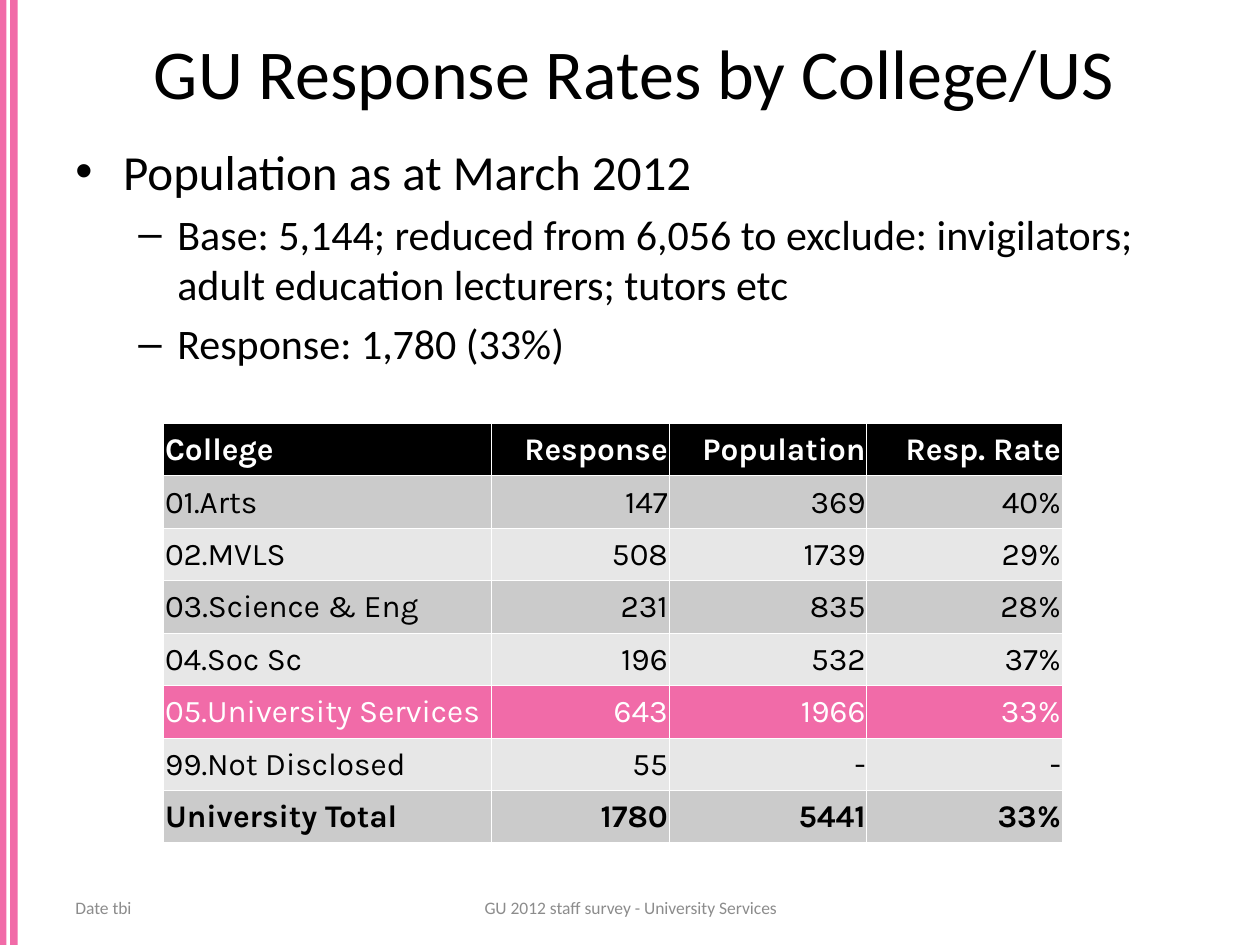
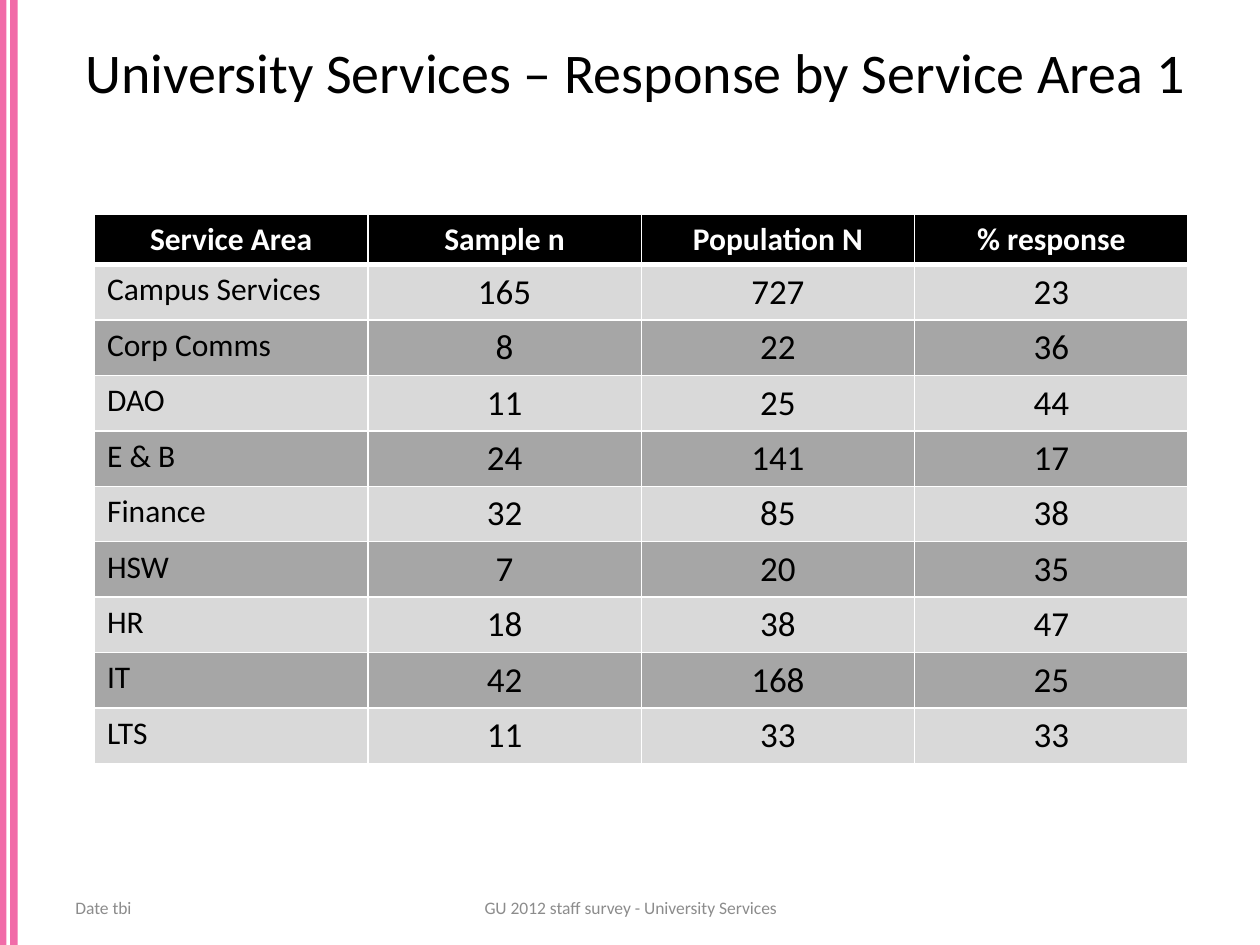
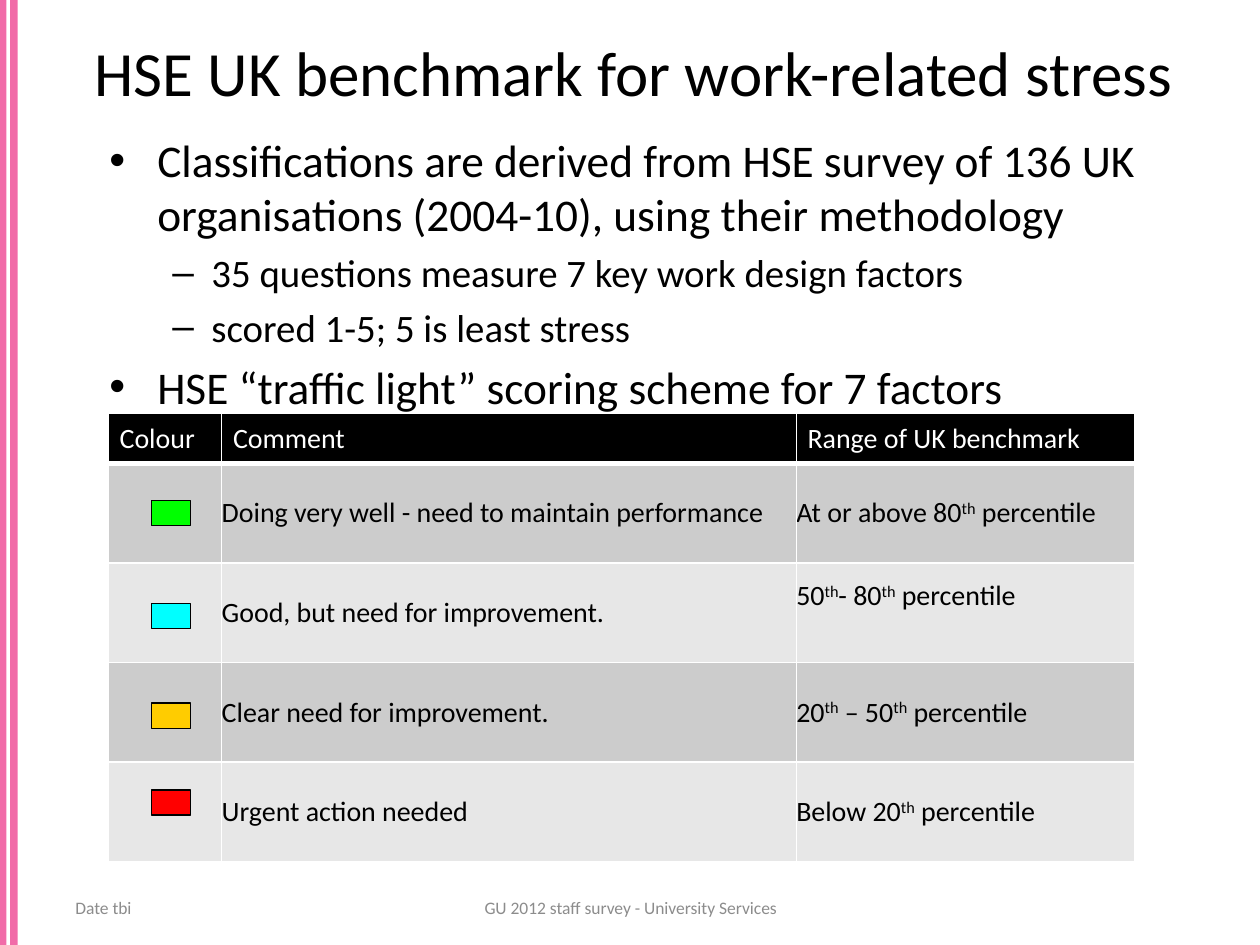
from lxml import etree
from pptx import Presentation
from pptx.dml.color import RGBColor
from pptx.enum import shapes, text
from pptx.oxml import ns
from pptx.util import Inches, Pt

BLACK = RGBColor(0x00, 0x00, 0x00)
WHITE = RGBColor(0xFF, 0xFF, 0xFF)
PINK = RGBColor(0xF1, 0x6B, 0xA8)
FOOTER_GREY = RGBColor(0x8C, 0x8C, 0x8C)
PALE_GREY = RGBColor(0xE7, 0xE7, 0xE7)
LIGHT_GREY = RGBColor(0xD9, 0xD9, 0xD9)
SOFT_GREY = RGBColor(0xCC, 0xCC, 0xCC)
COLLEGE_GREY = RGBColor(0xCB, 0xCB, 0xCB)
DARK_GREY = RGBColor(0xA6, 0xA6, 0xA6)
GREEN = RGBColor(0x00, 0xFF, 0x00)
CYAN = RGBColor(0x00, 0xFF, 0xFF)
AMBER = RGBColor(0xFF, 0xCC, 0x00)
RED = RGBColor(0xFF, 0x00, 0x00)

LEFT, CENTER, RIGHT = text.PP_ALIGN.LEFT, text.PP_ALIGN.CENTER, text.PP_ALIGN.RIGHT
TOP, MIDDLE = text.MSO_ANCHOR.TOP, text.MSO_ANCHOR.MIDDLE
BULLETS = [("•", 0.38, -0.38), ("–", 0.81, -0.31)]


def write(paragraph, words, size=18, font="Calibri", color=BLACK, bold=False, align=LEFT):
    """Fill a paragraph; parts between ^ marks are superscript."""
    paragraph.alignment = align
    for index, part in enumerate(words.split("^")):
        if not part:
            continue
        run = paragraph.add_run()
        run.text = part
        run.font.size = Pt(size)
        run.font.name = font
        run.font.bold = bold
        run.font.color.rgb = color
        if index % 2:
            run.font._element.set("baseline", "30000")


def add_bullet(paragraph, level):
    character, margin, indent = BULLETS[level]
    properties = paragraph._p.get_or_add_pPr()
    properties.set("marL", str(Inches(margin)))
    properties.set("indent", str(Inches(indent)))
    etree.SubElement(properties, ns.qn("a:buFont")).set("typeface", "Arial")
    etree.SubElement(properties, ns.qn("a:buChar")).set("char", character)


def add_borders(cell, **widths):
    """Draw white edges, with widths in points keyed by L, R, T and B."""
    properties = cell._tc.get_or_add_tcPr()
    for edge, width in widths.items():
        line = etree.SubElement(properties, ns.qn(f"a:ln{edge}"), w=str(Pt(width)))
        fill = etree.SubElement(line, ns.qn("a:solidFill"))
        etree.SubElement(fill, ns.qn("a:srgbClr"), val=str(WHITE))


class SurveyDeck:
    """Holds the presentation, its shared style and the current slide."""

    def __init__(self):
        self.presentation = Presentation()
        self.presentation.slide_width = Inches(10)
        self.presentation.slide_height = Inches(7.5)
        self.slide = None

    def new_slide(self, title, size, left=0.5, width=9.06):
        self.slide = self.presentation.slides.add_slide(self.presentation.slide_layouts[6])
        for stripe_left, stripe_width in [(0, 0.05), (0.08, 0.06)]:
            self.rectangle(stripe_left, 0, stripe_width, 7.5, PINK)
        self.label(title, left, 0.13, width, 0.87, size=size, align=CENTER)
        footer = dict(size=10, color=FOOTER_GREY)
        self.label("Date tbi", 0.5, 7.06, 2.33, 0.29, **footer)
        self.label("GU 2012 staff survey - University Services",
                   3.42, 7.06, 3.17, 0.29, align=CENTER, **footer)

    def rectangle(self, left, top, width, height, fill, outlined=False):
        shape = self.slide.shapes.add_shape(
            shapes.MSO_SHAPE.RECTANGLE, Inches(left), Inches(top), Inches(width), Inches(height))
        shape.shadow.inherit = False
        shape.fill.solid()
        shape.fill.fore_color.rgb = fill
        if outlined:
            shape.line.color.rgb = BLACK
            shape.line.width = Pt(0.75)
        else:
            shape.line.fill.background()

    def text_frame(self, left, top, width, height, anchor):
        box = self.slide.shapes.add_textbox(
            Inches(left), Inches(top), Inches(width), Inches(height))
        box.text_frame.word_wrap = True
        box.text_frame.vertical_anchor = anchor
        return box.text_frame

    def label(self, words, left, top, width, height, **style):
        frame = self.text_frame(left, top, width, height, MIDDLE)
        write(frame.paragraphs[0], words, **style)

    def bullets(self, items, left, top, width, height, sizes):
        """Write (level, words) items, with one text size per level."""
        frame = self.text_frame(left, top, width, height, TOP)
        for index, (level, words) in enumerate(items):
            paragraph = frame.add_paragraph() if index else frame.paragraphs[0]
            add_bullet(paragraph, level)
            paragraph.space_before = Pt(0.2 * sizes[level] if index else 0)
            write(paragraph, words, size=sizes[level])

    def table(self, rows, left, top, widths, heights, cell_style, border=1, header_rule=3):
        """Add a table; cell_style(row, column) gives fill, anchor, insets and text format."""
        frame = self.slide.shapes.add_table(
            len(rows), len(widths), Inches(left), Inches(top),
            Inches(sum(widths)), Inches(sum(heights)))
        table = frame.table
        table.horz_banding = False
        for column, width in zip(table.columns, widths):
            column.width = Inches(width)
        for row, height in zip(table.rows, heights):
            row.height = Inches(height)
        for r, values in enumerate(rows):
            for c, value in enumerate(values):
                self.cell(table.cell(r, c), value, **cell_style(r, c),
                          borders=dict(L=border, R=border,
                                       T=header_rule if r == 1 else border,
                                       B=header_rule if r == 0 else border))

    def cell(self, cell, words, fill, borders, anchor=TOP, insets=(0.1, 0.05, 0.1, 0.05), **style):
        (cell.margin_left, cell.margin_top,
         cell.margin_right, cell.margin_bottom) = map(Inches, insets)
        cell.vertical_anchor = anchor
        add_borders(cell, **borders)
        cell.fill.solid()
        cell.fill.fore_color.rgb = fill
        write(cell.text_frame.paragraphs[0], words, **style)


def banded(row, odd, even):
    """Give the fill of a row: black header, then two alternating greys."""
    return BLACK if row == 0 else odd if row % 2 else even


def college_slide(deck):
    deck.new_slide("GU Response Rates by College/US", 40)
    deck.bullets([
        (0, "Population as at March 2012"),
        (1, "Base: 5,144; reduced from 6,056 to exclude: invigilators; "
            "adult education lecturers; tutors etc"),
        (1, "Response: 1,780 (33%)"),
    ], 0.5, 1.07, 9.06, 5.91, sizes=(28, 24))
    rows = [
        ("College", "Response", "Population", "Resp. Rate"),
        ("01.Arts", "147", "369", "40%"),
        ("02.MVLS", "508", "1739", "29%"),
        ("03.Science & Eng", "231", "835", "28%"),
        ("04.Soc Sc", "196", "532", "37%"),
        ("05.University Services", "643", "1966", "33%"),
        ("99.Not Disclosed", "55", "-", "-"),
        ("University Total", "1780", "5441", "33%"),
    ]
    highlight, total = 5, len(rows) - 1

    def style(row, column):
        return dict(
            fill=PINK if row == highlight else banded(row, COLLEGE_GREY, PALE_GREY),
            color=WHITE if row in (0, highlight) else BLACK,
            bold=row in (0, total), font="Karla", align=RIGHT if column else LEFT,
            anchor=MIDDLE, insets=(0.01, 0.01, 0.01, 0))

    deck.table(rows, 1.3, 3.36, [2.6, 1.41, 1.57, 1.55], [3.33 / len(rows)] * len(rows),
               style, border=0.5, header_rule=0.5)


def service_area_slide(deck):
    deck.new_slide("University Services – Response by Service Area 1", 32, left=0.2, width=9.69)
    rows = [
        ("Service Area", "Sample n", "Population N", "% response"),
        ("Campus Services", "165", "727", "23"),
        ("Corp Comms", "8", "22", "36"),
        ("DAO", "11", "25", "44"),
        ("E & B", "24", "141", "17"),
        ("Finance", "32", "85", "38"),
        ("HSW", "7", "20", "35"),
        ("HR", "18", "38", "47"),
        ("IT", "42", "168", "25"),
        ("LTS", "11", "33", "33"),
    ]

    def style(row, column):
        header = row == 0
        return dict(
            fill=banded(row, LIGHT_GREY, DARK_GREY), color=WHITE if header else BLACK,
            bold=header, size=20 if row and column else 18,
            align=CENTER if header or column else LEFT)

    deck.table(rows, 0.75, 1.7, [2.17] * 4, [0.4] + [0.44] * 9, style)


def benchmark_slide(deck):
    deck.new_slide("HSE UK benchmark for work-related stress", 36)
    deck.bullets([
        (0, "Classifications are derived from HSE survey of 136 UK "
            "organisations (2004-10), using their methodology"),
        (1, "35 questions measure 7 key work design factors"),
        (1, "scored 1-5; 5 is least stress"),
        (0, "HSE “traffic light” scoring scheme for 7 factors"),
    ], 0.77, 1, 8.46, 2.12, sizes=(25.9, 22.2))
    rows = [
        ("Colour", "Comment", "Range of UK benchmark"),
        ("", "Doing very well - need to maintain performance", "At or above 80^th^ percentile"),
        ("", "Good, but need for improvement.", "50^th^- 80^th^ percentile"),
        ("", "Clear need for improvement.", "20^th^ – 50^th^ percentile"),
        ("", "Urgent action needed", "Below 20^th^ percentile"),
    ]

    def style(row, column):
        raised = (row, column) == (2, 2)
        return dict(
            fill=banded(row, SOFT_GREY, PALE_GREY), color=BLACK if row else WHITE,
            size=16, anchor=MIDDLE,
            insets=(0, 0, 0, 0.27 if raised else 0) if row else (0.09, 0.05, 0.09, 0.05))

    deck.table(rows, 0.86, 3.28, [0.9, 4.56, 2.69], [0.4] + [0.79] * 4, style)
    for top, color in [(3.97, GREEN), (4.79, CYAN), (5.58, AMBER), (6.27, RED)]:
        deck.rectangle(1.2, top, 0.31, 0.2, color, outlined=True)


def main():
    deck = SurveyDeck()
    college_slide(deck)
    service_area_slide(deck)
    benchmark_slide(deck)
    deck.presentation.save("out.pptx")


if __name__ == "__main__":
    main()
